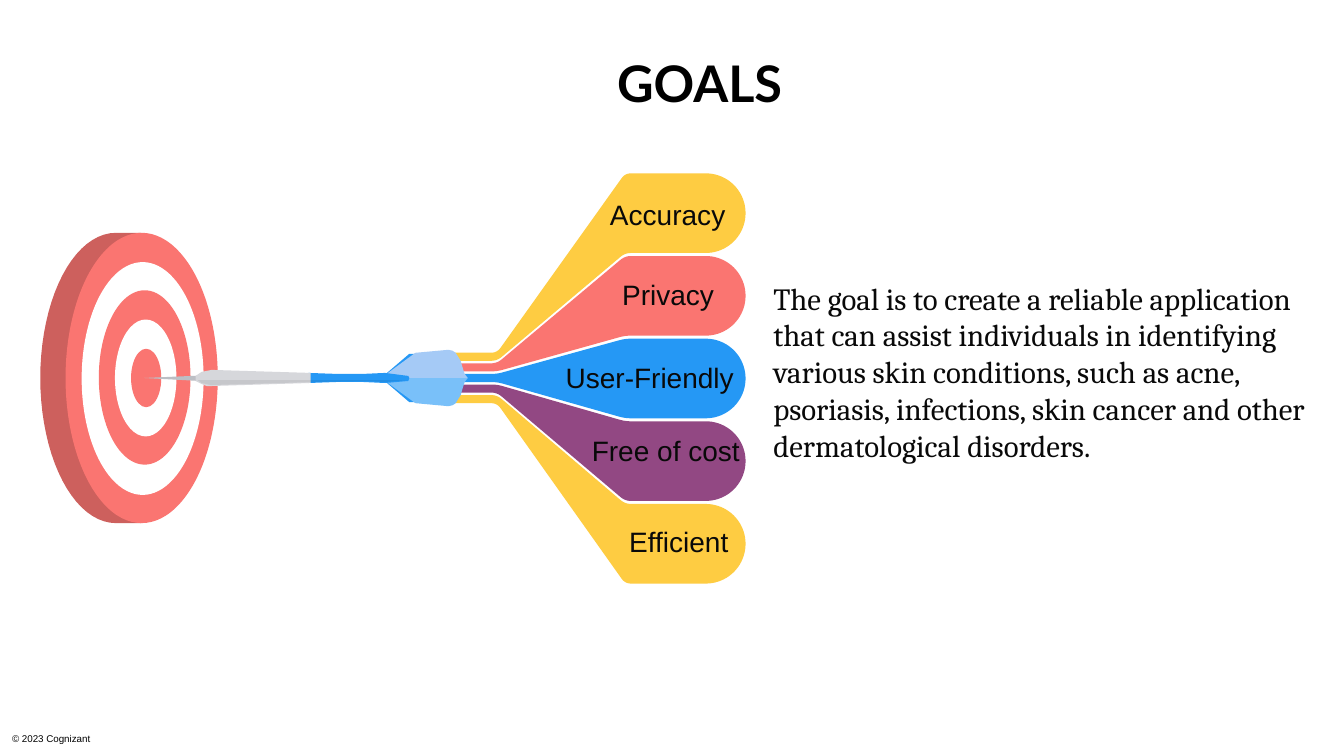
import math

import pptx
import pptx.dml.color
import pptx.enum.shapes
import pptx.enum.text
import pptx.oxml
import pptx.oxml.ns
import pptx.util

TITLE = "GOALS"
BODY = ("The goal is to create a reliable application that can assist individuals "
        "in identifying various skin conditions, such as acne, psoriasis, infections, "
        "skin cancer and other dermatological disorders.")
FOOTER = "© 2023 Cognizant"
COLORS = {
    "yellow": "FECC42", "red": "FA7571", "blue": "2598F5", "purple": "924883",
    "side": "CD605D", "white": "FFFFFF", "upper": "A5CAF6", "lower": "79C0F9",
    "tip": "BCBEC4", "barrel": "D6D7DB", "black": "000000", "text": "090909",
}
# label, arm colour, label left, top, width
GOALS = [
    ("Accuracy", "yellow", 6.02, 1.93, 1.38),
    ("Privacy", "red", 6.14, 2.72, 1.0),
    ("User-Friendly", "blue", 5.58, 3.55, 1.83),
    ("Free of cost", "purple", 5.84, 4.27, 1.57),
    ("Efficient", "yellow", 6.21, 5.17, 1.19),
]
# left, top, width, height, colour, from the rim inwards
RINGS = [
    (0.65, 2.31, 1.51, 2.88, "red"),
    (0.81, 2.6, 1.21, 2.31, "white"),
    (0.98, 2.88, 0.91, 1.73, "red"),
    (1.14, 3.17, 0.61, 1.16, "white"),
    (1.3, 3.46, 0.3, 0.58, "red"),
]
FIN = [(4.16, 3.51), (4.06, 3.51), (3.78, 3.75)]
FLIGHT = [(4.64, 3.75), (4.61, 3.71), (4.59, 3.65), (4.57, 3.58), (4.52, 3.5),
          (4.49, 3.48), (4.45, 3.47), (4.12, 3.5), (3.78, 3.75)]
SHAFT = [(4.05, 3.73), (3.82, 3.7), (3.6, 3.71), (3.34, 3.71), (3.06, 3.7),
         (3.06, 3.8), (3.34, 3.79), (3.6, 3.79), (3.82, 3.8), (4.05, 3.78), (4.06, 3.75)]
TIP = [(2.36, 3.71), (1.43, 3.75), (2.36, 3.8)]
BARREL = [(3.08, 3.7), (2.1, 3.67), (2.05, 3.68), (2, 3.69), (1.94, 3.73),
          (1.94, 3.78), (2, 3.81), (2.05, 3.83), (2.1, 3.83), (3.08, 3.8)]
SHADE = [(1.96, 3.77), (3.82, 3.77), (4.04, 3.77), (3.82, 3.79), (3.63, 3.78),
         (3.11, 3.79), (2.09, 3.82), (2, 3.8)]
AXIS = 3.75
ARM_TOP, ARM_STEP, ARM_H = 1.72, 0.82, 0.79
STRIP_TOP, STRIP_STEP, STRIP_H = 3.5, 0.105, 0.08
STRIP_X, BEND_X, KNEE_X, CAP_X = 4.24, 4.93, 6.2, 7.0

Inches = pptx.util.Inches


def paint(sp, color):
    sp.shadow.inherit = False
    sp.fill.solid()
    sp.fill.fore_color.rgb = pptx.dml.color.RGBColor.from_string(COLORS[color])
    sp.line.fill.background()
    return sp


def polygon(points, color):
    start, *rest = [(Inches(x), Inches(y)) for x, y in points]
    builder = s.shapes.build_freeform(*start)
    builder.add_line_segments(rest)
    return paint(builder.convert_to_shape(), color)


def mirror(points):
    """Reflect points across the dart's axis."""
    return [(x, 2 * AXIS - y) for x, y in points]


def arc(cx, cy, rx, ry, start, end, steps=40):
    angles = [math.radians(start + (end - start) * i / steps) for i in range(steps + 1)]
    return [(cx + rx * math.cos(a), cy + ry * math.sin(a)) for a in angles]


def rounded(before, corner, after, cut=0.06, steps=6):
    """Points of a curve that replaces a corner."""
    def toward(end):
        share = cut / math.dist(corner, end)
        return [c + (e - c) * share for c, e in zip(corner, end)]
    a, b = toward(before), toward(after)
    return [tuple((1 - t) ** 2 * p + 2 * t * (1 - t) * c + t * t * q
                  for p, c, q in zip(a, corner, b))
            for t in (i / steps for i in range(steps + 1))]


def arm_outline(i):
    top, strip = ARM_TOP + ARM_STEP * i, STRIP_TOP + STRIP_STEP * i
    bottom, strip_bottom = top + ARM_H, strip + STRIP_H
    r = ARM_H / 2
    knee, bend = (KNEE_X, top), (BEND_X, strip)
    low_knee, low_bend = (KNEE_X, bottom), (BEND_X, strip_bottom)
    return (rounded(bend, knee, (CAP_X, top))
            + arc(CAP_X, top + r, r, r, -90, 90)
            + rounded((CAP_X, bottom), low_knee, low_bend)
            + rounded(low_knee, low_bend, (STRIP_X, strip_bottom))
            + [(STRIP_X, strip_bottom), (STRIP_X, strip)]
            + rounded((STRIP_X, strip), bend, knee))


def write(sp, box, text, size, font, color, bold=False, inset=0.03, anchor="TOP"):
    sp.left, sp.top, sp.width, sp.height = [Inches(v) for v in box]
    tf = sp.text_frame
    tf.word_wrap = True
    tf.auto_size = pptx.enum.text.MSO_AUTO_SIZE.NONE
    tf.margin_left = tf.margin_top = tf.margin_right = tf.margin_bottom = Inches(inset)
    tf.vertical_anchor = pptx.enum.text.MSO_ANCHOR[anchor]
    p = tf.paragraphs[0]
    p.alignment = pptx.enum.text.PP_ALIGN.LEFT
    p.space_before = pptx.util.Pt(0)
    r = p.add_run()
    r.text = text
    r.font.size, r.font.name, r.font.bold = pptx.util.Pt(size), font, bold
    r.font.color.rgb = pptx.dml.color.RGBColor.from_string(COLORS[color])
    return p


def label(box, *args, **kwargs):
    write(s.shapes.add_textbox(0, 0, 0, 0), box, *args, **kwargs)


prs = pptx.Presentation()
prs.slide_width, prs.slide_height = Inches(13.33), Inches(7.5)
s = prs.slides.add_slide(prs.slide_layouts[1])

write(s.shapes.title, (6.02, 0.42, 2.07, 0.61), TITLE, 36, "Lato", "black",
      bold=True, inset=0.1)
p = write(s.placeholders[1], (7.64, 2.74, 5.36, 2.25), BODY, 22, "Cambria", "text")
pPr = p._p.get_or_add_pPr()
pPr.set("marL", "0")
pPr.set("indent", "0")
pPr.append(pptx.oxml.parse_xml("<a:buNone %s/>" % pptx.oxml.ns.nsdecls("a")))

for i, goal in enumerate(GOALS):
    polygon(arm_outline(i), goal[1])

# Target
polygon(arc(1.15, AXIS, 0.75, 1.44, 90, 270) + [(1.4, 2.31), (1.4, 5.19)], "side")
for *box, color in RINGS:
    paint(s.shapes.add_shape(pptx.enum.shapes.MSO_SHAPE.OVAL,
                             *[Inches(v) for v in box]), color)

# Dart
for points, color in [(FIN, "blue"), (mirror(FIN), "blue"), (FLIGHT, "upper"),
                      (mirror(FLIGHT), "lower"), (SHAFT, "blue"), (TIP, "tip"),
                      (BARREL, "barrel")]:
    polygon(points, color)
shade = polygon(SHADE, "black")
shade._element.spPr.find(".//" + pptx.oxml.ns.qn("a:srgbClr")).append(
    pptx.oxml.parse_xml('<a:alpha %s val="7000"/>' % pptx.oxml.ns.nsdecls("a")))

for text, _, left, top, width in GOALS:
    label((left, top, width, 0.39), text, 20, "Arial", "text")
label((0.12, 7.06, 1.31, 0.33), FOOTER, 7, "Arial", "black", inset=0, anchor="BOTTOM")

prs.save("out.pptx")
